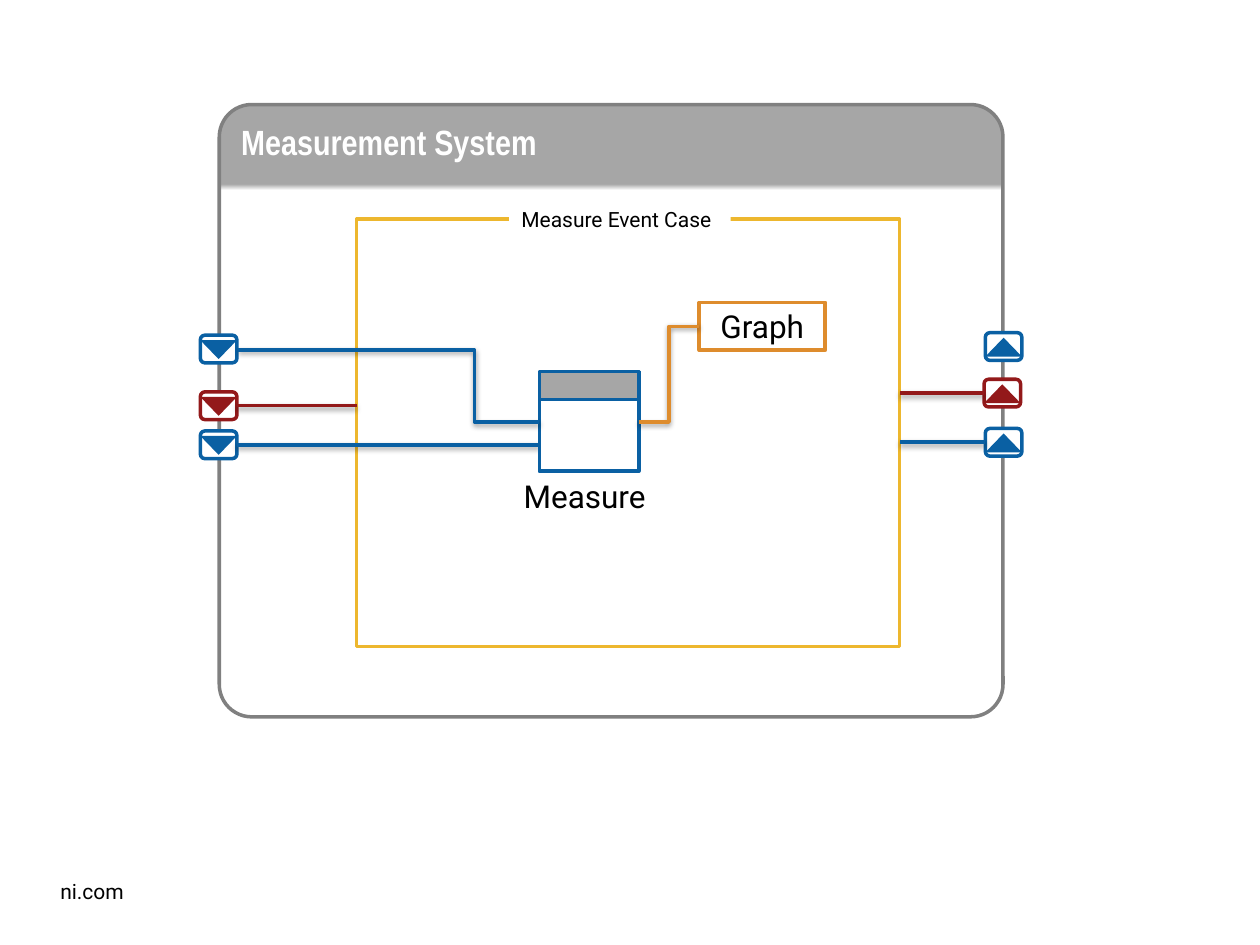
"""Build the measurement system block diagram slide."""
from dataclasses import dataclass

from lxml.etree import SubElement
from pptx import Presentation
from pptx.dml.color import RGBColor
from pptx.enum.shapes import MSO_CONNECTOR, MSO_SHAPE
from pptx.enum.text import MSO_ANCHOR, PP_ALIGN
from pptx.oxml import parse_xml
from pptx.oxml.ns import nsdecls, qn
from pptx.util import Inches, Pt

BLUE, RED, ORANGE, YELLOW = "0A60A3", "93191A", "DE8C2D", "EDB72E"
GRAY, DARK_GRAY, WHITE, BLACK = "A6A6A6", "808080", "FFFFFF", "000000"
TERMINAL_W, TERMINAL_H = 0.29, 0.22


@dataclass
class Terminal:
    x: float
    y: float
    color: str
    up: bool
    wire_to: float | None = None


TERMINALS = [
    Terminal(7.82, 2.64, BLUE, True),
    Terminal(7.81, 3.01, RED, True, 7.14),
    Terminal(7.82, 3.4, BLUE, True, 7.14),
    Terminal(1.59, 2.66, BLUE, False),
    Terminal(1.59, 3.11, RED, False, 2.83),
    Terminal(1.59, 3.42, BLUE, False, 4.28),
]


def rgb(color: str) -> RGBColor:
    return RGBColor.from_string(color)


def add_box(shapes, box: tuple, fill: str | None = None, line: str | None = None,
            kind=MSO_SHAPE.RECTANGLE):
    sp = shapes.add_shape(kind, *map(Inches, box))
    sp.shadow.inherit = False
    if fill:
        sp.fill.solid()
        sp.fill.fore_color.rgb = rgb(fill)
    else:
        sp.fill.background()
    if line:
        sp.line.color.rgb = rgb(line)
        sp.line.width = Pt(2)
    else:
        sp.line.fill.background()
    return sp


def set_text(sp, text: str, *, size: int, font: str = "Roboto", color: str = BLACK,
             bold: bool = False, align=PP_ALIGN.LEFT, anchor=MSO_ANCHOR.TOP,
             wrap: bool = False) -> None:
    tf = sp.text_frame
    tf.word_wrap = wrap
    tf.vertical_anchor = anchor
    p = tf.paragraphs[0]
    p.alignment = align
    r = p.add_run()
    r.text = text
    r.font.size, r.font.name, r.font.bold = Pt(size), font, bold
    r.font.color.rgb = rgb(color)


def set_header_gradient(sp) -> None:
    stops = "".join(
        f'<a:gs pos="{pos * 1000}"><a:srgbClr val="{color}"/></a:gs>'
        for pos, color in ((12, GRAY), (13, GRAY), (14, WHITE)))
    grad = parse_xml(f'<a:gradFill {nsdecls("a")} rotWithShape="1"><a:gsLst>{stops}'
                     '</a:gsLst><a:lin ang="5400000" scaled="0"/></a:gradFill>')
    no_fill = sp._element.spPr.find(qn("a:noFill"))
    no_fill.getparent().replace(no_fill, grad)


def add_wire(shapes, start: tuple, end: tuple, color: str,
             kind=MSO_CONNECTOR.STRAIGHT, bend: float | None = None):
    cxn = shapes.add_connector(kind, *map(Inches, start + end))
    cxn.line.color.rgb = rgb(color)
    cxn.line.width = Pt(2)
    spPr = cxn._element.spPr
    if bend is not None:
        guides = spPr.find(qn("a:prstGeom")).get_or_add_avLst()
        SubElement(guides, qn("a:gd"), name="adj1", fmla=f"val {round(bend * 100000)}")
    spPr.append(parse_xml(
        f'<a:effectLst {nsdecls("a")}><a:outerShdw blurRad="{Pt(3.1)}" dist="{Pt(1.6)}" '
        'dir="5400000" rotWithShape="0"><a:srgbClr val="000000"><a:alpha val="38000"/>'
        '</a:srgbClr></a:outerShdw></a:effectLst>'))
    return cxn


def add_terminal(shapes, t: Terminal) -> None:
    group = shapes.add_group_shape()
    frame = add_box(group.shapes, (t.x, t.y, TERMINAL_W, TERMINAL_H), WHITE, t.color,
                    MSO_SHAPE.ROUNDED_RECTANGLE)
    arrow = add_box(group.shapes, (t.x, t.y + 0.04, TERMINAL_W, 0.15), t.color,
                    kind=MSO_SHAPE.ISOSCELES_TRIANGLE)
    arrow.rotation = 0 if t.up else 180
    if t.wire_to is not None:
        x = t.x if t.up else t.x + TERMINAL_W
        y = t.y + TERMINAL_H / 2
        cxn = add_wire(shapes, (x, y), (t.wire_to, y), t.color)
        cxn.begin_connect(frame, 1 if t.up else 3)


def add_measure(shapes) -> None:
    group = shapes.add_group_shape()
    add_box(group.shapes, (4.28, 2.95, 0.79, 0.79), WHITE, BLUE)
    add_box(group.shapes, (4.28, 2.95, 0.79, 0.22), GRAY, BLUE)
    label = group.shapes.add_textbox(*map(Inches, (4.04, 3.74, 1.2, 0.4)))
    set_text(label, "Measure", size=18, align=PP_ALIGN.CENTER)


def main() -> None:
    prs = Presentation()
    prs.slide_width, prs.slide_height = Inches(10), Inches(7.5)
    s = prs.slides.add_slide(prs.slide_layouts[6]).shapes

    footer = s.add_textbox(*map(Inches, (0.38, 6.92, 0.71, 0.3)))
    set_text(footer, "ni.com", size=12)

    system = add_box(s, (1.74, 0.83, 6.22, 4.86), line=DARK_GRAY,
                     kind=MSO_SHAPE.ROUNDED_RECTANGLE)
    system.adjustments[0] = 0.053
    set_header_gradient(system)
    set_text(system, "Measurement System", size=20, font="Arial Narrow", color=WHITE,
             bold=True, wrap=True)

    add_box(s, (2.83, 1.74, 4.31, 3.39), line=YELLOW)
    case = add_box(s, (4.04, 1.59, 1.76, 0.3), WHITE)
    set_text(case, "Measure Event Case", size=12)

    for t in TERMINALS:
        add_terminal(s, t)
    add_measure(s)
    graph = add_box(s, (5.55, 2.4, 1, 0.38), WHITE, ORANGE)
    set_text(graph, "Graph", size=18, align=PP_ALIGN.CENTER, anchor=MSO_ANCHOR.MIDDLE,
             wrap=True)
    add_wire(s, (5.07, 3.35), (5.55, 2.59), ORANGE, MSO_CONNECTOR.ELBOW)
    add_wire(s, (1.89, 2.78), (4.28, 3.35), BLUE, MSO_CONNECTOR.ELBOW, bend=0.785)

    prs.save("out.pptx")


if __name__ == "__main__":
    main()
